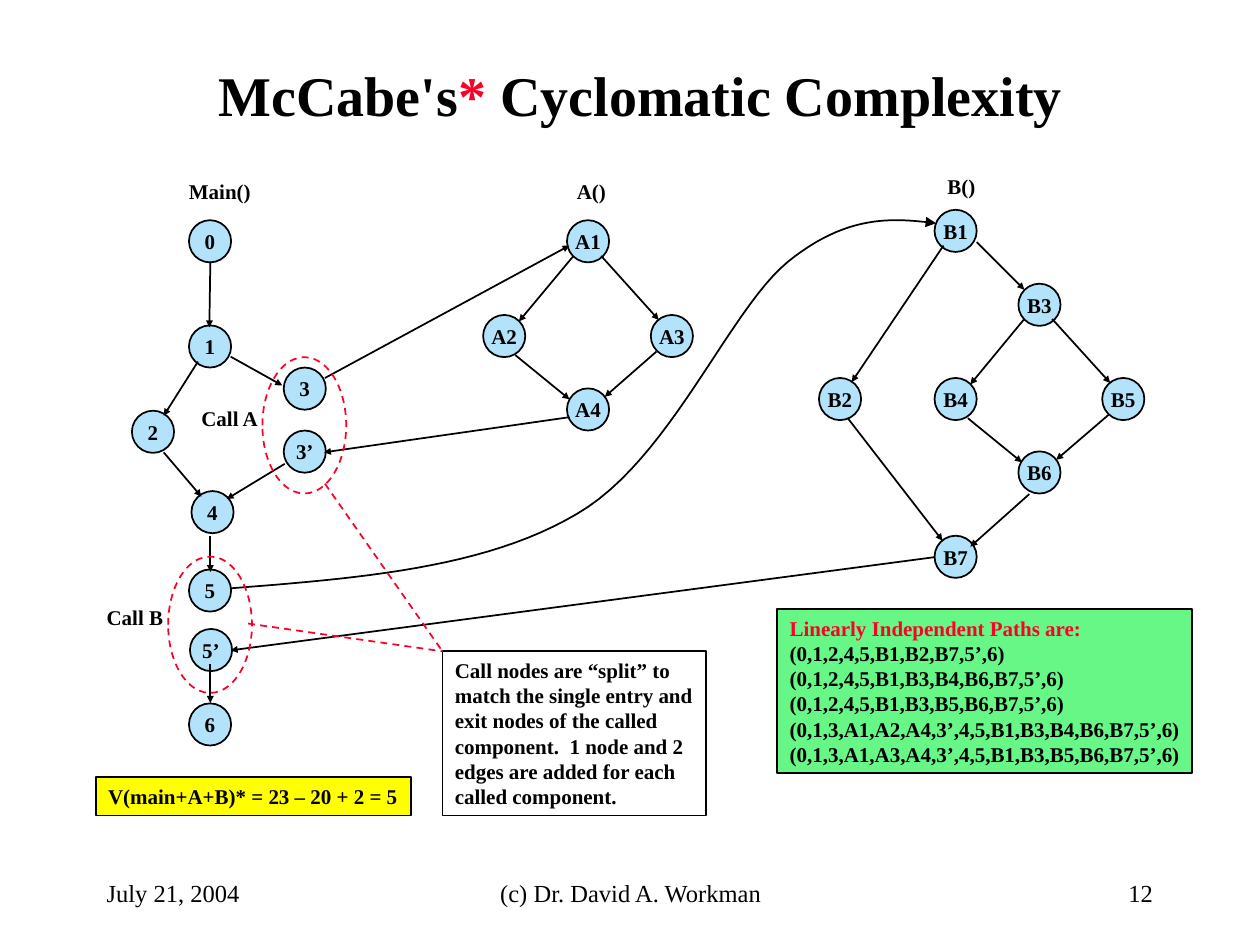
from copy import deepcopy

from lxml import etree
from pptx import Presentation
from pptx.dml.color import RGBColor
from pptx.enum.dml import MSO_LINE
from pptx.enum.shapes import MSO_CONNECTOR, MSO_SHAPE
from pptx.enum.text import MSO_ANCHOR, MSO_AUTO_SIZE, PP_ALIGN
from pptx.oxml.ns import qn
from pptx.util import Cm, Pt

OVAL = MSO_SHAPE.OVAL
RECTANGLE = MSO_SHAPE.RECTANGLE
STRAIGHT = MSO_CONNECTOR.STRAIGHT
DASH = MSO_LINE.DASH
TOP, MIDDLE = MSO_ANCHOR.TOP, MSO_ANCHOR.MIDDLE
LEFT, CENTER, RIGHT = PP_ALIGN.LEFT, PP_ALIGN.CENTER, PP_ALIGN.RIGHT

COLORS = {
    "ink": "000000",
    "accent": "FC0128",
    "node": "B3E3FB",
    "result": "FFFF00",
    "paths": "67F786",
}
FONT = "Times New Roman"
NODE_SIZE = 0.85

NODES = {
    "0": (3.81, 4.44), "1": (3.81, 6.56), "2": (2.66, 8.28),
    "3": (5.72, 7.41), "3’": (5.72, 8.68), "4": (3.86, 9.9),
    "5": (3.81, 11.48), "5’": (3.83, 12.68), "6": (3.81, 14.18),
    "A1": (11.43, 4.44), "A2": (9.74, 6.35), "A3": (13.12, 6.35),
    "A4": (11.43, 7.83),
    "B1": (18.84, 4.23), "B2": (16.51, 7.62), "B3": (20.53, 5.72),
    "B4": (18.84, 7.62), "B5": (22.22, 7.62), "B6": (20.53, 9.1),
    "B7": (18.84, 10.8),
}
MAIN_EDGES = [
    (4.24, 5.28, 4.22, 6.6), (3.99, 7.29, 3.3, 8.38),
    (4.65, 7.19, 5.69, 7.77), (3.3, 9.12, 4.06, 10.01),
    (5.74, 9.35, 4.57, 10.06), (4.24, 10.8, 4.24, 11.53),
    (4.24, 13.39, 4.24, 14.17),
]
A_EDGES = [
    (11.56, 5.16, 10.46, 6.48), (12.12, 5.16, 13.28, 6.45),
    (10.39, 7.16, 11.48, 8.05), (13.23, 7.09, 12.19, 8),
]
B_EDGES = [
    (19.02, 4.95, 17.17, 7.7), (19.69, 4.88, 20.65, 5.84),
    (17.09, 8.43, 19, 10.9), (20.65, 6.43, 19.56, 7.75),
    (21.21, 6.43, 22.38, 7.72), (19.51, 8.43, 20.6, 9.32),
    (22.35, 8.36, 21.29, 9.27), (20.75, 9.96, 19.56, 11.02),
]
CALL_EDGES = [
    (6.55, 7.62, 11.48, 4.95), (11.48, 8.41, 6.53, 9.12),
    (18.85, 11.23, 4.65, 13.11),
]
CALL_B_CURVE = [
    (4.65, 11.86), (7.21, 11.66), (9.78, 11.46), (11.63, 10.36),
    (13.51, 9.27), (14.68, 6.27), (15.88, 5.28),
    (17.07, 4.32), (17.98, 4.39), (18.87, 4.5),
]
LABELS = [
    ("Main()", 3.56, 3.48, 1.75), ("A()", 11.38, 3.48, 1.09),
    ("B()", 18.85, 3.38, 1.07), ("Call A", 3.81, 8.05, 1.68),
    ("Call B", 1.9, 12.07, 1.65),
]
PATHS = [
    "(0,1,2,4,5,B1,B2,B7,5’,6)",
    "(0,1,2,4,5,B1,B3,B4,B6,B7,5’,6)",
    "(0,1,2,4,5,B1,B3,B5,B6,B7,5’,6)",
    "(0,1,3,A1,A2,A4,3’,4,5,B1,B3,B4,B6,B7,5’,6)",
    "(0,1,3,A1,A3,A4,3’,4,5,B1,B3,B5,B6,B7,5’,6)",
]
SPLIT_NOTE = (
    "Call nodes are “split” to\nmatch the single entry and\n"
    "exit nodes of the called\ncomponent.  1 node and 2\n"
    "edges are added for each\ncalled component."
)
FOOTERS = [
    ("July 21, 2004", 1.9, 5.28, LEFT),
    ("(c) Dr. David A. Workman", 8.69, 8.05, CENTER),
    ("12", 18.21, 5.28, RIGHT),
]


def color(name):
    return RGBColor.from_string(COLORS[name])


def add_text(paragraph, text, size=12, bold=True, ink="ink", align=LEFT):
    paragraph.alignment = align
    for index, line in enumerate(text.split("\n")):
        if index:
            paragraph.add_line_break()
        run = paragraph.add_run()
        run.text = line
        run.font.name = FONT
        run.font.size = Pt(size)
        run.font.bold = bold
        run.font.color.rgb = color(ink)
    for line_break in paragraph._p.findall(qn("a:br")):
        line_break.append(deepcopy(run._r.find(qn("a:rPr"))))


def curve_points(controls, steps=24):
    points = [controls[0]]
    for first in range(0, len(controls) - 1, 3):
        segment = controls[first:first + 4]
        for step in range(1, steps + 1):
            t = step / steps
            weights = ((1 - t) ** 3, 3 * t * (1 - t) ** 2, 3 * t * t * (1 - t), t ** 3)
            points.append(tuple(
                sum(weight * point[axis] for weight, point in zip(weights, segment))
                for axis in (0, 1)
            ))
    return points


class FlowGraph:
    def __init__(self, slide):
        self.slide = slide

    def outline(self, shape, ink="ink", dash=None, arrow=None):
        shape.line.color.rgb = color(ink)
        shape.line.width = Pt(1)
        if dash:
            shape.line.dash_style = dash
        if arrow:
            etree.SubElement(shape.line._get_or_add_ln(), qn("a:tailEnd"),
                             type="triangle", w=arrow, len=arrow)

    def title(self, chunks):
        title = self.slide.shapes.title
        title.left, title.top, title.width, title.height = Cm(2.12), Cm(1.06), Cm(21.59), Cm(1.69)
        title.text_frame.auto_size = MSO_AUTO_SIZE.NONE
        title.text_frame.vertical_anchor = MIDDLE
        for text, ink in chunks:
            add_text(title.text_frame.paragraphs[0], text, size=32, ink=ink, align=CENTER)

    def shape(self, kind, left, top, width, height, fill=None, ink="ink", dash=None):
        shape = self.slide.shapes.add_shape(kind, Cm(left), Cm(top), Cm(width), Cm(height))
        shape.shadow.inherit = False
        if fill:
            shape.fill.solid()
            shape.fill.fore_color.rgb = color(fill)
        else:
            shape.fill.background()
        self.outline(shape, ink, dash)
        return shape

    def node(self, name, left, top):
        frame = self.shape(OVAL, left, top, NODE_SIZE, NODE_SIZE, "node").text_frame
        frame.word_wrap = False
        frame.vertical_anchor = MIDDLE
        add_text(frame.paragraphs[0], name, align=CENTER)

    def panel(self, left, top, width, height, lines, fill=None):
        frame = self.shape(RECTANGLE, left, top, width, height, fill).text_frame
        frame.word_wrap = False
        frame.vertical_anchor = TOP
        for index, (text, ink) in enumerate(lines):
            paragraph = frame.add_paragraph() if index else frame.paragraphs[0]
            add_text(paragraph, text, ink=ink)

    def label(self, text, left, top, width, height=0.76, wrap=False, anchor=TOP, **style):
        box = self.slide.shapes.add_textbox(Cm(left), Cm(top), Cm(width), Cm(height))
        box.text_frame.word_wrap = wrap
        box.text_frame.vertical_anchor = anchor
        add_text(box.text_frame.paragraphs[0], text, **style)

    def edge(self, *ends, **style):
        connector = self.slide.shapes.add_connector(STRAIGHT, *(Cm(end) for end in ends))
        self.outline(connector, **style)
        etree.SubElement(connector._element.spPr, qn("a:effectLst"))

    def curve(self, controls):
        start, *rest = [(Cm(x), Cm(y)) for x, y in curve_points(controls)]
        builder = self.slide.shapes.build_freeform(*start)
        builder.add_line_segments(rest, close=False)
        shape = builder.convert_to_shape()
        shape.shadow.inherit = False
        shape.fill.background()
        self.outline(shape, arrow="med")


def main():
    presentation = Presentation()
    presentation.slide_width, presentation.slide_height = Cm(25.4), Cm(19.05)
    graph = FlowGraph(presentation.slides.add_slide(presentation.slide_layouts[5]))
    graph.title([("McCabe's", "ink"), ("*", "accent"), (" Cyclomatic Complexity", "ink")])
    for name, position in NODES.items():
        graph.node(name, *position)
    for ends in MAIN_EDGES + A_EDGES + B_EDGES + CALL_EDGES:
        graph.edge(*ends, arrow="sm")
    graph.curve(CALL_B_CURVE)
    for label in LABELS:
        graph.label(*label)
    graph.panel(1.93, 15.67, 6.35, 0.77, [("V(main+A+B)* = 23 – 20 + 2 = 5", "ink")], "result")
    graph.panel(15.67, 12.28, 8.36, 3.31,
                [("Linearly Independent Paths are:", "accent")] + [(path, "ink") for path in PATHS],
                "paths")
    graph.panel(8.92, 13.13, 5.31, 3.31, [(SPLIT_NOTE, "ink")])
    for left, top in [(3.39, 11.22), (5.29, 7.2)]:
        graph.shape(OVAL, left, top, 1.69, 2.75, ink="accent", dash=DASH)
    for left, top in [(5, 12.57), (6.55, 9.75)]:
        graph.edge(left, top, 8.92, 13.13, ink="accent", dash=DASH)
    for text, left, width, align in FOOTERS:
        graph.label(text, left, 17.36, width, 1.27, wrap=True, anchor=MIDDLE,
                    size=14, bold=False, align=align)
    presentation.save("out.pptx")


if __name__ == "__main__":
    main()
